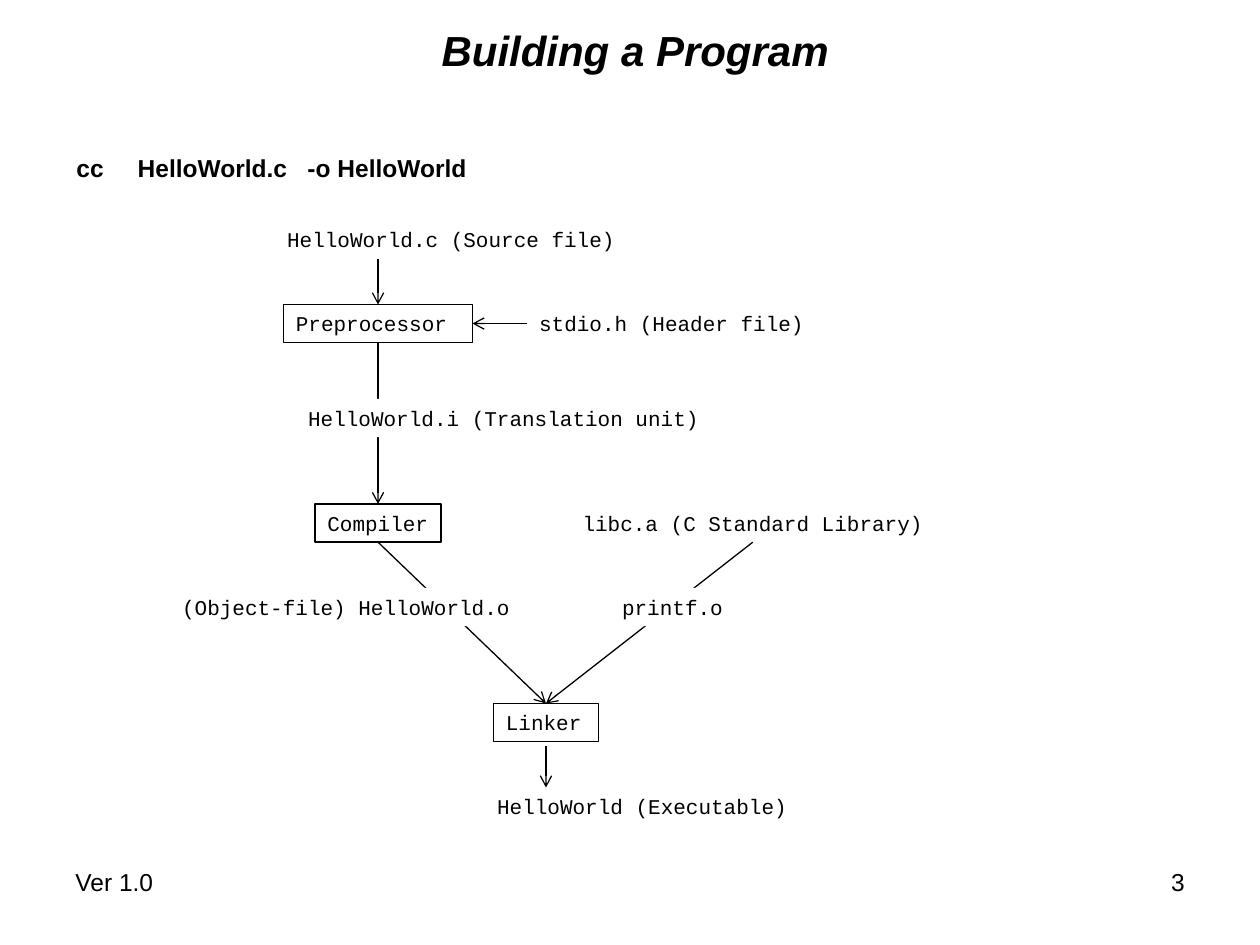
from dataclasses import dataclass

from lxml import etree
from pptx import Presentation
from pptx.dml.color import RGBColor
from pptx.enum.shapes import MSO_CONNECTOR, MSO_SHAPE
from pptx.enum.text import MSO_ANCHOR, PP_ALIGN
from pptx.oxml.ns import qn
from pptx.util import Pt

RECTANGLE = MSO_SHAPE.RECTANGLE
STRAIGHT = MSO_CONNECTOR.STRAIGHT
TOP, MIDDLE = MSO_ANCHOR.TOP, MSO_ANCHOR.MIDDLE
LEFT, CENTER, RIGHT = PP_ALIGN.LEFT, PP_ALIGN.CENTER, PP_ALIGN.RIGHT


@dataclass(frozen=True)
class Theme:
    ink: RGBColor = RGBColor(0, 0, 0)
    paper: RGBColor = RGBColor(255, 255, 255)
    body_font: str = "Arial"
    code_font: str = "Courier New"
    title_size: float = 24
    body_size: float = 14
    code_size: float = 12
    line_width: float = 0.75


THEME = Theme()
ROW_HEIGHT = 21.8
CHARACTER_WIDTH = 7.2
INSET_X, INSET_Y = 7.2, 3.6


@dataclass(frozen=True)
class Box:
    left: float
    top: float
    width: float
    height: float

    def lengths(self):
        return [Pt(value) for value in (self.left, self.top, self.width, self.height)]

    def point(self, across, down):
        """Point at the given fractions of the width and height."""
        return self.left + across * self.width, self.top + down * self.height


def add_text(slide, box, text, *, font=THEME.body_font, size=THEME.body_size,
             bold=False, italic=False, align=LEFT, anchor=TOP, wrap=True,
             fill=None, outline=None, tabs=()):
    """Text in a rectangle if it has a fill or outline, else in a text box."""
    if fill is None and outline is None:
        shape = slide.shapes.add_textbox(*box.lengths())
    else:
        shape = slide.shapes.add_shape(RECTANGLE, *box.lengths())
        shape.shadow.inherit = False
    if fill is None:
        shape.fill.background()
    else:
        shape.fill.solid()
        shape.fill.fore_color.rgb = fill
    if outline is None:
        shape.line.fill.background()
    else:
        shape.line.color.rgb = outline
        shape.line.width = Pt(THEME.line_width)

    frame = shape.text_frame
    frame.word_wrap = wrap
    frame.vertical_anchor = anchor
    frame.margin_left = frame.margin_right = Pt(INSET_X)
    frame.margin_top = frame.margin_bottom = Pt(INSET_Y)
    paragraph = frame.paragraphs[0]
    paragraph.alignment = align
    if tabs:
        properties = paragraph._p.get_or_add_pPr()
        tab_list = etree.SubElement(properties, qn("a:tabLst"))
        for position in tabs:
            etree.SubElement(tab_list, qn("a:tab"), pos=str(Pt(position)), algn="l")
    run = paragraph.add_run()
    run.text = text
    run.font.name = font
    run.font.size = Pt(size)
    run.font.bold = bold
    run.font.italic = italic
    run.font.color.rgb = THEME.ink


def add_arrow(slide, start, end):
    connector = slide.shapes.add_connector(
        STRAIGHT, *[Pt(value) for value in (*start, *end)])
    connector.line.color.rgb = THEME.ink
    connector.line.width = Pt(THEME.line_width)
    properties = connector._element.spPr
    line = properties.find(qn("a:ln"))
    etree.SubElement(line, qn("a:tailEnd"), type="arrow")
    etree.SubElement(properties, qn("a:effectLst"))


def add_header(slide, box):
    title = Box(box.left + 36, box.top, 582, 32.4)
    add_text(slide, title, "Building a Program", size=THEME.title_size,
             bold=True, italic=True, align=CENTER, anchor=MIDDLE)
    command = Box(box.left + 0.6, box.top + 72.2, 240, 24.2)
    add_text(slide, command, "cc\tHelloWorld.c\t-o HelloWorld", bold=True,
             wrap=False, tabs=(35, 132))


def add_build_diagram(slide, box):
    """Steps from source file to executable, with labels over the arrows."""
    def place(left, top, width):
        return Box(box.left + left, box.top + top, width, ROW_HEIGHT)

    def label_place(left, top, text):
        return place(left, top, len(text) * CHARACTER_WIDTH + 2 * INSET_X)

    steps = {
        "Preprocessor": place(66, 48, 108),
        "Compiler": place(84, 162, 72),
        "Linker": place(186, 276, 60),
    }
    labels = {
        text: label_place(left, top, text)
        for text, left, top in (
            ("HelloWorld.c (Source file)", 61, 0),
            ("stdio.h (Header file)", 205, 48),
            ("HelloWorld.i (Translation unit)", 73, 102),
            ("libc.a (C Standard Library)", 229.8, 162),
            ("(Object-file) HelloWorld.o", 1, 210),
            ("printf.o", 252.4, 210),
            ("HelloWorld (Executable)", 181, 324),
        )
    }
    preprocessor, compiler, linker = steps.values()
    header = labels["stdio.h (Header file)"]
    library = labels["libc.a (C Standard Library)"]
    executable = labels["HelloWorld (Executable)"]
    preprocessor_top = preprocessor.point(0.5, 0)
    linker_top = linker.point(0.5, 0)
    linker_x, linker_bottom = linker.point(0.5, 1)

    arrows = (
        ((preprocessor_top[0], box.top + ROW_HEIGHT), preprocessor_top),
        (header.point(0, 0.5), preprocessor.point(1, 0.5)),
        (preprocessor.point(0.5, 1), compiler.point(0.5, 0)),
        (compiler.point(0.5, 1), linker_top),
        (library.point(0.5, 1), linker_top),
        ((linker_x, linker_bottom + 2.4), (linker_x, executable.top)),
    )
    for start, end in arrows:
        add_arrow(slide, start, end)

    code = {"font": THEME.code_font, "size": THEME.code_size}
    for text, step in steps.items():
        add_text(slide, step, text, outline=THEME.ink, **code)
    for text, label in labels.items():
        fill = None if label in (header, library) else THEME.paper
        add_text(slide, label, text, wrap=False, fill=fill, **code)


def add_footer(slide, box):
    width = 168
    add_text(slide, Box(box.left, box.top, width, box.height), "Ver 1.0")
    right = box.left + box.width - width
    add_text(slide, Box(right, box.top, width, box.height), "3", align=RIGHT)


def main():
    presentation = Presentation()
    presentation.slide_width, presentation.slide_height = Pt(720), Pt(540)
    slide = presentation.slides.add_slide(presentation.slide_layouts[6])
    add_header(slide, Box(36, 12, 648, 97))
    add_build_diagram(slide, Box(96, 126, 438, 346))
    add_footer(slide, Box(36, 492, 648, 37.5))
    presentation.save("out.pptx")


if __name__ == "__main__":
    main()
